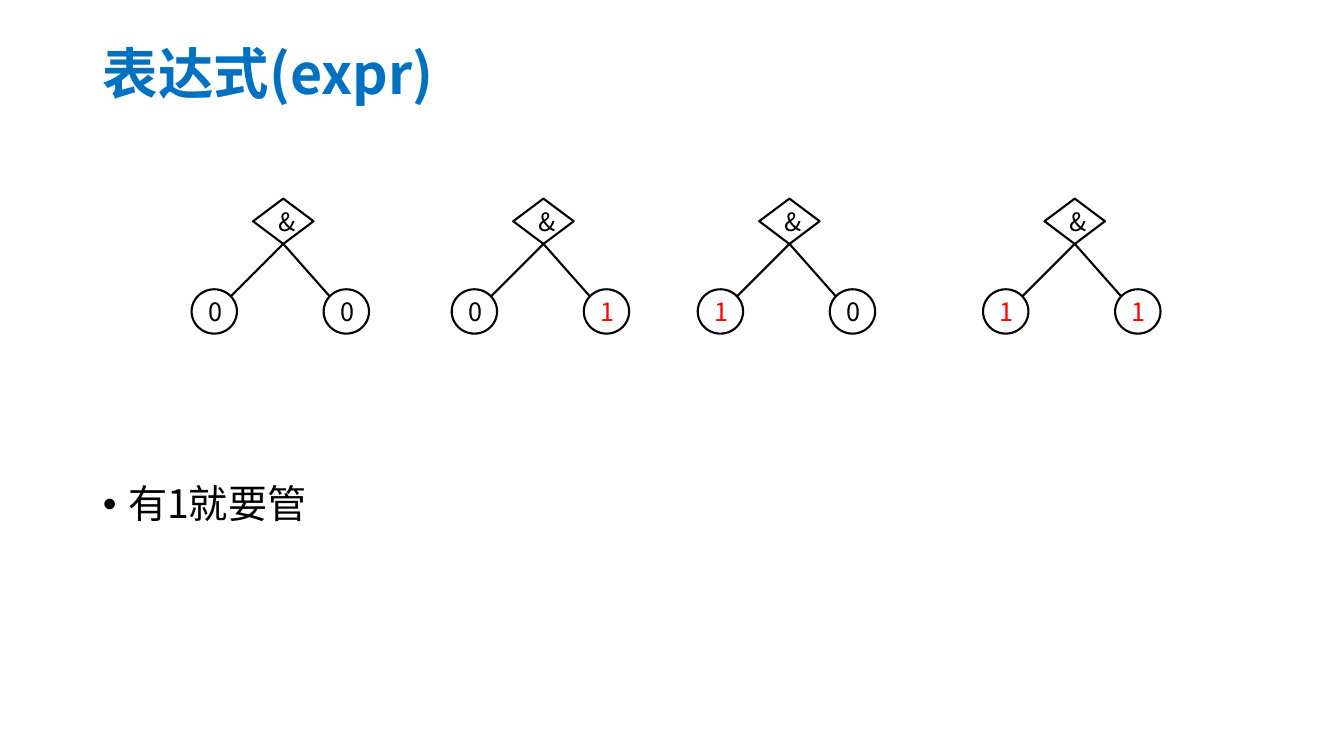
import pptx
import pptx.util
import pptx.dml.color
import pptx.enum.shapes
import pptx.enum.text
from lxml import etree
from pptx.oxml.ns import qn

Inches, Pt = pptx.util.Inches, pptx.util.Pt
SHAPE = pptx.enum.shapes.MSO_SHAPE
ALIGN = pptx.enum.text.PP_ALIGN
ANCHOR = pptx.enum.text.MSO_ANCHOR
FONT = "Noto Sans CJK SC"


def rgb(color):
    return pptx.dml.color.RGBColor.from_string(color)


def write(p, text, size, color, bold=False):
    r = p.add_run()
    r.text = text
    r.font.size = Pt(size)
    r.font.bold = bold
    r.font.color.rgb = rgb(color)
    r.font.name = FONT
    etree.SubElement(r.font._element, qn("a:ea"), typeface=FONT)


prs = pptx.Presentation()
prs.slide_width, prs.slide_height = Inches(13.33), Inches(7.5)
s = prs.slides.add_slide(prs.slide_layouts[1])

title = s.shapes.title
title.left, title.top = Inches(0.92), Inches(0.4)
title.width, title.height = Inches(11.5), Inches(0.72)
title.text_frame.vertical_anchor = ANCHOR.MIDDLE
p = title.text_frame.paragraphs[0]
p.alignment = ALIGN.LEFT
p.line_spacing = 0.9
write(p, "表达式(expr)", 39.6, "0070C0", True)

body = s.placeholders[1]
body.left, body.top = Inches(0.92), Inches(4.76)
body.width, body.height = Inches(11.5), Inches(1.99)
p = body.text_frame.paragraphs[0]
p.line_spacing = 0.9
p.space_before = Pt(0)
pPr = p._p.get_or_add_pPr()
pPr.set("marL", str(Inches(0.25)))
pPr.set("indent", str(Inches(-0.25)))
etree.SubElement(pPr, qn("a:buFont"), typeface="Arial")
etree.SubElement(pPr, qn("a:buChar"), char="•")
write(p, "有1就要管", 28, "000000")

trees = [(2.81, "0", "0"), (5.39, "0", "1"), (7.83, "1", "0"), (10.66, "1", "1")]
for x, left, right in trees:
    nodes = [
        (SHAPE.OVAL, x - 0.91, 2.87, 0.45, 0.44, left),
        (SHAPE.FLOWCHART_DECISION, x - 0.3, 1.97, 0.6, 0.45, "&"),
        (SHAPE.OVAL, x + 0.4, 2.87, 0.45, 0.44, right),
    ]
    for kind, nx, ny, w, h, label in nodes:
        sp = s.shapes.add_shape(kind, Inches(nx), Inches(ny), Inches(w), Inches(h))
        sp.shadow.inherit = False
        sp.fill.background()
        sp.line.color.rgb = rgb("000000")
        sp.line.width = Pt(1.5)
        tf = sp.text_frame
        tf.vertical_anchor = ANCHOR.MIDDLE
        p = tf.paragraphs[0]
        p.alignment = ALIGN.CENTER
        write(p, label, 18, "FF0000" if label == "1" else "000000")
    for dx in (-0.52, 0.46):
        branch = s.shapes.add_connector(
            pptx.enum.shapes.MSO_CONNECTOR.STRAIGHT,
            Inches(x), Inches(2.42), Inches(x + dx), Inches(2.94))
        branch.line.color.rgb = rgb("000000")
        branch.line.width = Pt(1.5)
        etree.SubElement(branch._element.spPr, qn("a:effectLst"))

prs.save("out.pptx")
